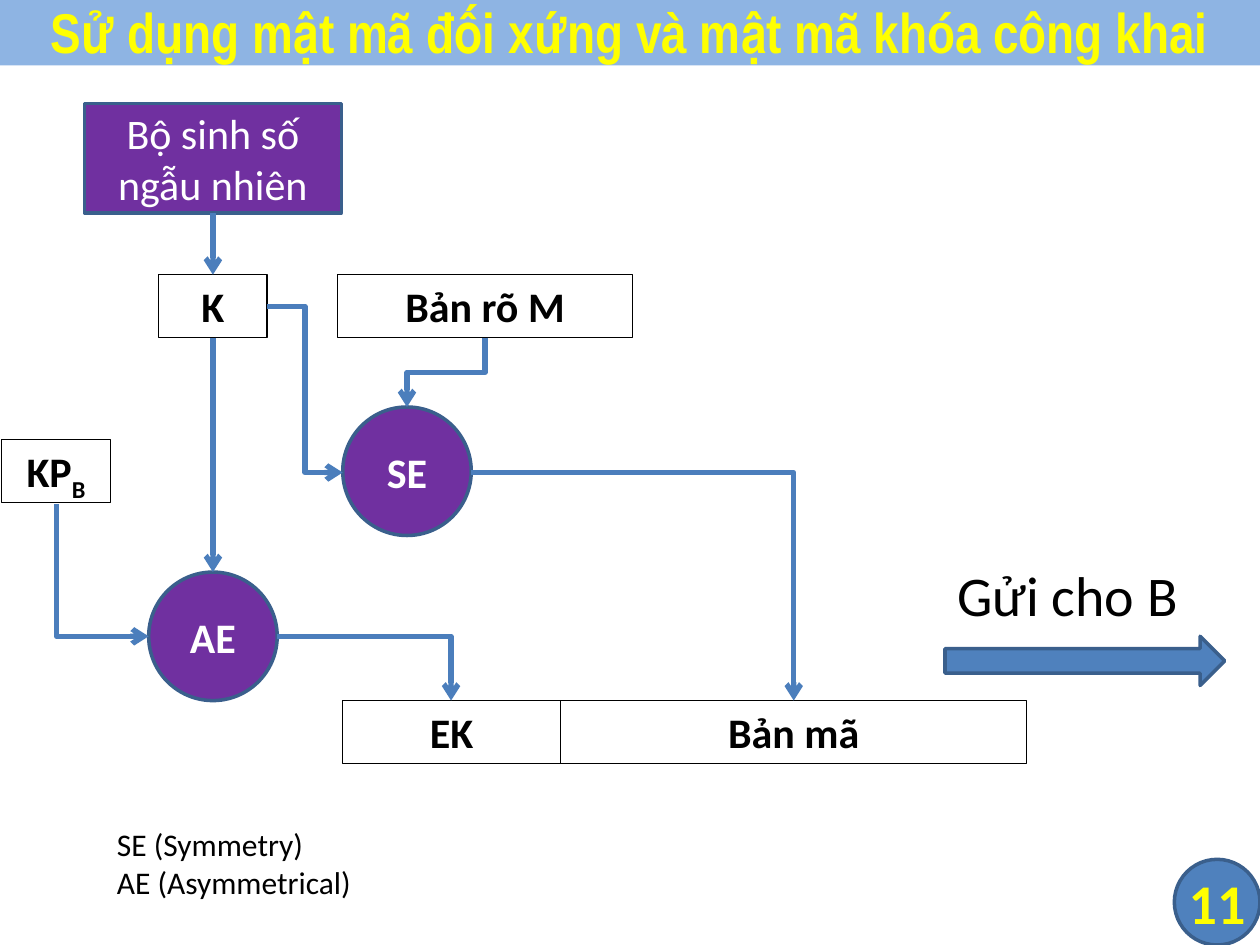
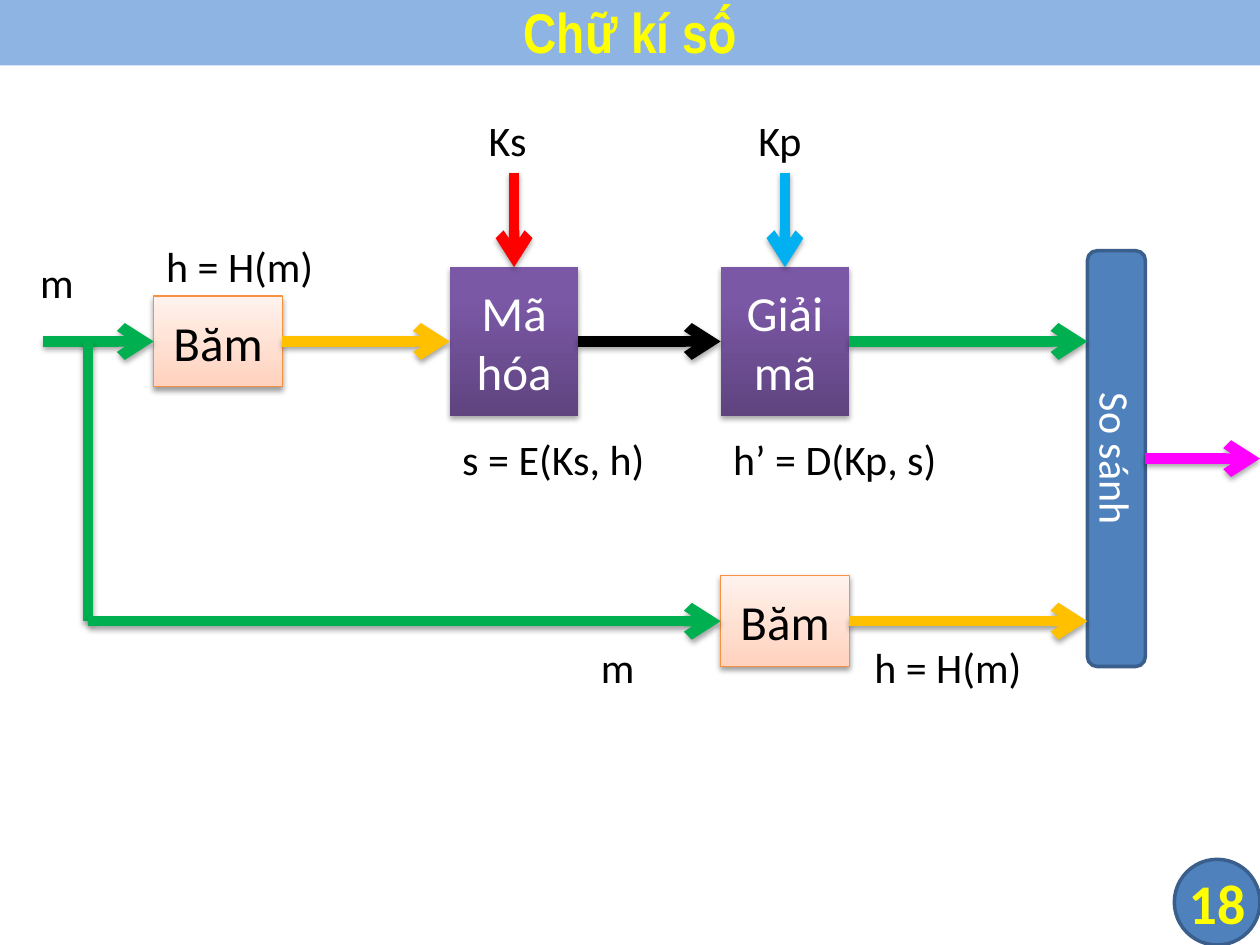
from lxml import etree
from pptx import Presentation
from pptx.dml.color import RGBColor
from pptx.enum.shapes import MSO_CONNECTOR, MSO_SHAPE
from pptx.enum.text import MSO_ANCHOR, MSO_AUTO_SIZE, PP_ALIGN
from pptx.oxml.ns import qn
from pptx.util import Inches, Pt

RECTANGLE = MSO_SHAPE.RECTANGLE
ROUNDED = MSO_SHAPE.ROUNDED_RECTANGLE
OVAL = MSO_SHAPE.OVAL
RIGHT_ARROW = MSO_SHAPE.RIGHT_ARROW
BADGE = MSO_SHAPE.FLOWCHART_CONNECTOR
STRAIGHT = MSO_CONNECTOR.STRAIGHT
ELBOW = MSO_CONNECTOR.ELBOW
TOP = MSO_ANCHOR.TOP
MIDDLE = MSO_ANCHOR.MIDDLE
CENTER = PP_ALIGN.CENTER
LEFT = PP_ALIGN.LEFT
NO_AUTOFIT = MSO_AUTO_SIZE.NONE
GROW = MSO_AUTO_SIZE.SHAPE_TO_FIT_TEXT

BLACK = RGBColor(0x00, 0x00, 0x00)
WHITE = RGBColor(0xFF, 0xFF, 0xFF)
YELLOW = RGBColor(0xFF, 0xFF, 0x00)
BAND_BLUE = RGBColor(0x8E, 0xB4, 0xE3)
BLUE = RGBColor(0x4F, 0x81, 0xBD)
OUTLINE_BLUE = RGBColor(0x3A, 0x5F, 0x8C)
FLOW_BLUE = RGBColor(0x4B, 0x7E, 0xBC)
PURPLE = RGBColor(0x70, 0x30, 0xA0)
GREEN = RGBColor(0x00, 0xB0, 0x50)
AMBER = RGBColor(0xFF, 0xC0, 0x00)
RED = RGBColor(0xFF, 0x00, 0x00)
SKY = RGBColor(0x00, 0xB0, 0xF0)
MAGENTA = RGBColor(0xFF, 0x00, 0xFF)
ORANGE = RGBColor(0xF6, 0x92, 0x40)
CIPHER_GRADIENT = ((0, RGBColor(0x5F, 0x44, 0x80)), (0.8, RGBColor(0x7B, 0x58, 0xA6)))
HASH_GRADIENT = ((0, RGBColor(0xFF, 0xD2, 0xBD)), (1, RGBColor(0xFF, 0xF2, 0xED)))

BODY_FONT = "Calibri"
TITLE_FONT = "Arial Narrow"


def format_text(text_frame, size, color, bold=False, align=CENTER, font_name=BODY_FONT):
    for paragraph in text_frame.paragraphs:
        paragraph.alignment = align
        for run in paragraph.runs:
            run.font.name = font_name
            run.font.size = Pt(size)
            run.font.bold = bold
            run.font.color.rgb = color


def set_effects(shape, shadow_alpha=None):
    properties = shape._element.spPr
    effects = properties.find(qn("a:effectLst"))
    if effects is None:
        effects = etree.SubElement(properties, qn("a:effectLst"))
    if shadow_alpha:
        shadow = etree.SubElement(
            effects, qn("a:outerShdw"), blurRad="40000", dist="23000",
            dir="5400000", rotWithShape="0")
        color = etree.SubElement(shadow, qn("a:srgbClr"), val="000000")
        etree.SubElement(color, qn("a:alpha"), val=str(shadow_alpha * 1000))


def add_block(slide, kind, box, text="", size=24, fill=PURPLE, color=WHITE, bold=False,
              line=OUTLINE_BLUE, weight=2):
    shape = slide.shapes.add_shape(kind, *map(Inches, box))
    if fill is None:
        shape.fill.background()
    else:
        shape.fill.solid()
        shape.fill.fore_color.rgb = fill
    if line is None:
        shape.line.fill.background()
    else:
        shape.line.color.rgb = line
        shape.line.width = Pt(weight)
    shape.shadow.inherit = False
    if text:
        shape.text_frame.text = text
        shape.text_frame.word_wrap = True
        format_text(shape.text_frame, size, color, bold)
    return shape


def add_data_box(slide, left, top, width, text, subscript=""):
    shape = add_block(slide, RECTANGLE, (left, top, width, 0.5), text,
                      fill=None, color=BLACK, bold=True, line=BLACK, weight=0.75)
    text_frame = shape.text_frame
    text_frame.vertical_anchor = TOP
    text_frame.auto_size = GROW
    if subscript:
        run = text_frame.paragraphs[0].add_run()
        run.text = subscript
        format_text(text_frame, 24, BLACK, True)
        run.font._element.set("baseline", "-25000")
    return shape


def add_gradient_block(slide, box, text, gradient, color, line, shadow_alpha):
    shape = add_block(slide, RECTANGLE, box, text, 28, color=color, line=line, weight=0.75)
    shape.fill.gradient()
    shape.fill.gradient_angle = 90
    for stop, (position, stop_color) in zip(shape.fill.gradient_stops, gradient):
        stop.position = position
        stop.color.rgb = stop_color
    set_effects(shape, shadow_alpha)
    return shape


def add_cipher(slide, left, text):
    return add_gradient_block(slide, (left, 2.12, 1.02, 1.18), text,
                              CIPHER_GRADIENT, WHITE, None, 35)


def add_hash(slide, left, middle):
    return add_gradient_block(slide, (left, middle - 0.36, 1.02, 0.72), "Băm",
                              HASH_GRADIENT, BLACK, ORANGE, 38)


def add_label(slide, box, text, size=24, wrap=False):
    text_box = slide.shapes.add_textbox(*map(Inches, box))
    text_frame = text_box.text_frame
    text_frame.text = text
    text_frame.word_wrap = wrap
    text_frame.auto_size = GROW
    format_text(text_frame, size, BLACK, align=LEFT)


def style_connector(connector, color, weight, arrow=True, shadow_alpha=None):
    connector.line.color.rgb = color
    connector.line.width = Pt(weight)
    if arrow:
        line = connector._element.spPr.find(qn("a:ln"))
        etree.SubElement(line, qn("a:tailEnd"), type="arrow")
    set_effects(connector, shadow_alpha)


def add_straight(slide, start, end, source=None, target=None):
    connector = slide.shapes.add_connector(STRAIGHT, *map(Inches, (*start, *end)))
    source_site, target_site = (2, 0) if start[0] == end[0] else (3, 1)
    if source is not None:
        connector.begin_connect(source, source_site)
    if target is not None:
        connector.end_connect(target, target_site)
    return connector


def add_flow(slide, start, end, source=None, target=None):
    style_connector(add_straight(slide, start, end, source, target), FLOW_BLUE, 3)


def add_signal(slide, start, end, color, source=None, target=None, arrow=True):
    connector = add_straight(slide, start, end, source, target)
    style_connector(connector, color, 6, arrow, 35)


def add_elbow(slide, start, end, bends, downward=False):
    connector = slide.shapes.add_connector(ELBOW, *map(Inches, (*start, *end)))
    properties = connector._element.spPr
    properties.find(qn("a:prstGeom")).set("prst", f"bentConnector{bends + 1}")
    if downward:
        run, drop = end[0] - start[0], end[1] - start[1]
        connector.left = Inches((start[0] + end[0] - drop) / 2)
        connector.top = Inches((start[1] + end[1] - abs(run)) / 2)
        connector.width, connector.height = Inches(drop), Inches(abs(run))
        transform = properties.find(qn("a:xfrm"))
        transform.set("flipH", "1" if run > 0 else "0")
        transform.set("rot", str((270 if run > 0 else 90) * 60000))
    style_connector(connector, FLOW_BLUE, 3)


def add_titled_slide(presentation, title, number):
    slide = presentation.slides.add_slide(presentation.slide_layouts[5])
    band = slide.shapes.title
    band.left, band.top, band.width, band.height = map(Inches, (0, -0.03, 10, 0.55))
    band.fill.solid()
    band.fill.fore_color.rgb = BAND_BLUE
    band.text_frame.text = title
    band.text_frame.vertical_anchor = MIDDLE
    band.text_frame.auto_size = NO_AUTOFIT
    format_text(band.text_frame, 32, YELLOW, True, font_name=TITLE_FONT)
    badge = add_block(slide, BADGE, (9.32, 6.82, 0.68, 0.68), str(number), 32,
                      BLUE, YELLOW, True)
    text_frame = badge.text_frame
    text_frame.word_wrap = False
    text_frame.margin_left = text_frame.margin_right = 0
    text_frame.margin_top = text_frame.margin_bottom = 0
    return slide


def build_hybrid_encryption(presentation):
    slide = add_titled_slide(
        presentation, "Sử dụng mật mã đối xứng và mật mã khóa công khai", 11)
    generator = add_block(slide, RECTANGLE, (0.67, 0.82, 2.04, 0.87), "Bộ sinh số ngẫu nhiên")
    session_key = add_data_box(slide, 1.26, 2.18, 0.86, "K")
    add_data_box(slide, 2.68, 2.18, 2.34, "Bản rõ M")
    add_data_box(slide, 0.01, 3.49, 0.87, "KP", "B")
    add_data_box(slide, 2.72, 5.56, 1.73, "EK")
    add_data_box(slide, 4.45, 5.56, 3.7, "Bản mã")
    add_block(slide, OVAL, (2.72, 3.23, 1.02, 1.02), "SE", bold=True)
    asymmetric = add_block(slide, OVAL, (1.18, 4.54, 1.02, 1.02), "AE", bold=True)

    add_flow(slide, (1.69, 1.69), (1.69, 2.18), generator, session_key)
    add_flow(slide, (1.69, 2.68), (1.69, 4.54), session_key, asymmetric)
    add_elbow(slide, (2.12, 2.43), (2.72, 3.75), 2)
    add_elbow(slide, (3.85, 2.68), (3.23, 3.23), 2, downward=True)
    add_elbow(slide, (0.45, 4), (1.18, 5.05), 1, downward=True)
    add_elbow(slide, (2.2, 5.05), (3.58, 5.56), 1)
    add_elbow(slide, (3.74, 3.75), (6.3, 5.56), 1)

    add_block(slide, RIGHT_ARROW, (7.5, 5.05, 2.22, 0.39), fill=BLUE)
    add_label(slide, (7.5, 4.4, 2.22, 0.64), "Gửi cho B", 32)
    add_label(slide, (0.83, 6.5, 5, 0.71), "SE (Symmetry)\nAE (Asymmetrical)", 18, True)


def build_digital_signature(presentation):
    slide = add_titled_slide(presentation, "Chữ kí số", 18)
    upper, lower = 2.71, 4.93
    encrypt = add_cipher(slide, 3.57, "Mã hóa")
    decrypt = add_cipher(slide, 5.72, "Giải mã")
    sender_hash = add_hash(slide, 1.22, upper)
    receiver_hash = add_hash(slide, 5.72, lower)
    compare = add_block(slide, ROUNDED, (7.21, 3.41, 3.3, 0.46), "So sánh", fill=BLUE)
    compare.rotation = 90

    add_signal(slide, (0.34, upper), (1.22, upper), GREEN, target=sender_hash)
    add_signal(slide, (2.24, upper), (3.57, upper), AMBER, sender_hash, encrypt)
    add_signal(slide, (4.59, upper), (5.72, upper), BLACK, encrypt, decrypt)
    add_signal(slide, (6.74, upper), (8.63, upper), GREEN, decrypt)
    add_signal(slide, (0.7, upper), (0.7, lower), GREEN, arrow=False)
    add_signal(slide, (0.7, lower), (5.72, lower), GREEN, target=receiver_hash)
    add_signal(slide, (6.74, lower), (8.63, lower), AMBER, receiver_hash)
    add_signal(slide, (9.09, 3.64), (10, 3.64), MAGENTA)
    add_signal(slide, (4.08, 1.37), (4.08, 2.12), RED, target=encrypt)
    add_signal(slide, (6.23, 1.37), (6.23, 2.12), SKY, target=decrypt)

    for left, top, width, text in (
            (0.22, 1.99, 0.48, "m"),
            (4.67, 5.04, 0.48, "m"),
            (3.78, 0.86, 0.59, "Ks"),
            (5.92, 0.86, 0.61, "Kp"),
            (1.22, 1.86, 1.52, "h = H(m)"),
            (6.84, 5.04, 1.52, "h = H(m)")):
        add_label(slide, (left, top, width, 0.5), text)
    for left, text in ((3.57, "s = E(Ks, h)"), (5.72, "h’ = D(Kp, s)")):
        add_label(slide, (left, 3.39, 2.25, 0.5), text, wrap=True)


def main():
    presentation = Presentation()
    presentation.slide_width = Inches(10)
    presentation.slide_height = Inches(7.5)
    build_hybrid_encryption(presentation)
    build_digital_signature(presentation)
    presentation.save("out.pptx")


if __name__ == "__main__":
    main()
